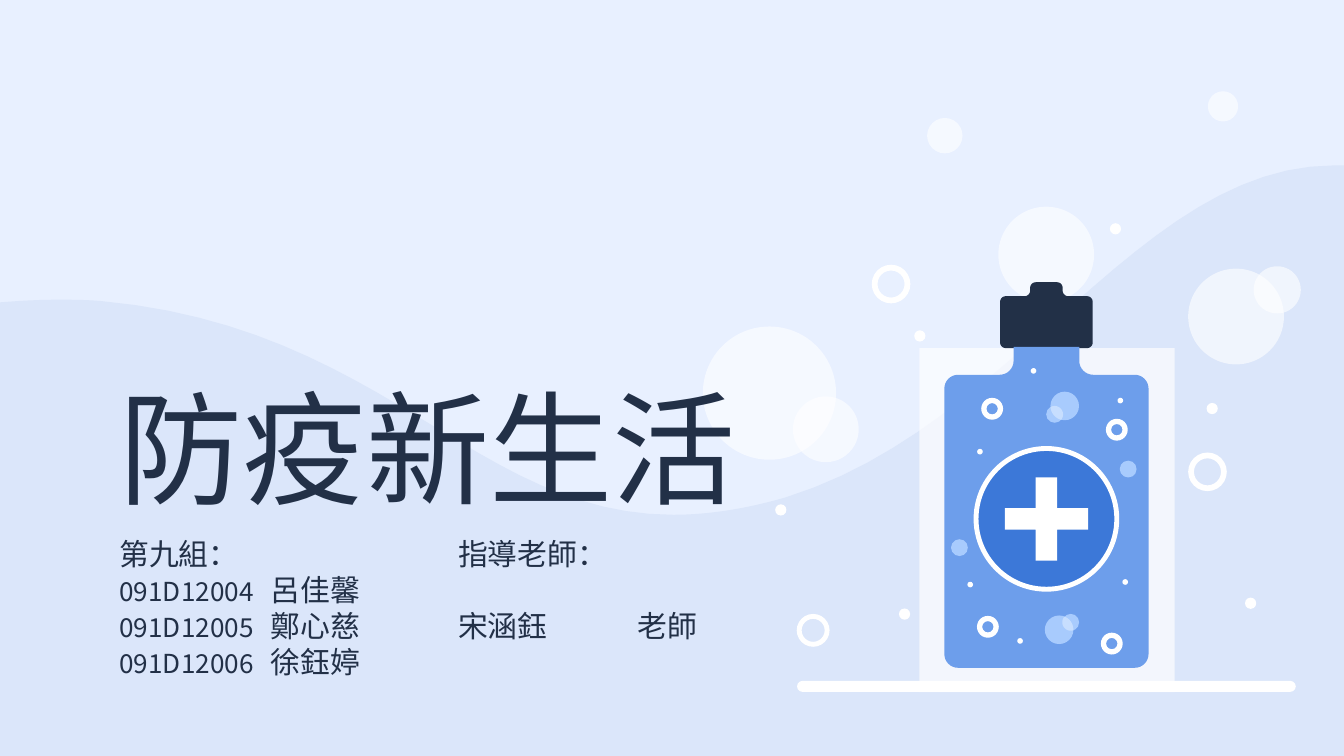
from dataclasses import dataclass
from math import atan2, cos, hypot, sin, tau
from typing import NamedTuple, Optional

from lxml import etree
from pptx import Presentation
from pptx.dml.color import RGBColor
from pptx.enum.shapes import MSO_SHAPE
from pptx.enum.text import MSO_ANCHOR, MSO_AUTO_SIZE, PP_ALIGN
from pptx.oxml.ns import qn
from pptx.util import Pt

OVAL, DONUT, CROSS = MSO_SHAPE.OVAL, MSO_SHAPE.DONUT, MSO_SHAPE.CROSS
RECTANGLE, PILL = MSO_SHAPE.RECTANGLE, MSO_SHAPE.ROUNDED_RECTANGLE
LEFT, TOP, BOTTOM = PP_ALIGN.LEFT, MSO_ANCHOR.TOP, MSO_ANCHOR.BOTTOM
NO_FIT = MSO_AUTO_SIZE.NONE


@dataclass(frozen=True)
class Theme:
    sky: str = "E8F0FF"
    wave: str = "DBE6FA"
    ink: str = "223047"
    white: str = "FFFFFF"
    bottle: str = "6D9EEB"
    label: str = "3C78D8"
    bubble: str = "A8CBFD"
    overlap: str = "C7DEFE"
    cjk: str = "Noto Sans CJK SC"
    digits: str = "Noto Sans CJK TC"
    latin: str = "Lato"
    title_size: float = 66
    body_size: float = 16
    digit_size: float = 14
    line_pitch: float = 19.3


class Circle(NamedTuple):
    x: float
    y: float
    size: float


class Corner(NamedTuple):
    x: float
    y: float
    radius: float


class Span(NamedTuple):
    text: str
    font: str
    size: float
    tracking: float = 0


THEME = Theme()
AXIS = 560.6  # vertical centre line of the bottle

HALOS = [Circle(560.5, 136.4, 51.3), Circle(412.2, 210.6, 71.4), Circle(506.2, 72.7, 19),
         Circle(655.2, 57, 16.2), Circle(442.4, 230, 35.3), Circle(662.2, 169.6, 51.3),
         Circle(684.2, 155.3, 25.3)]
AIR_RINGS = [Circle(477.4, 152.2, 20.7), Circle(646.9, 252.8, 20.7), Circle(435.6, 337.7, 17.6)]
AIR_DOTS = [(492.8, 180), (597.6, 122.6), (649.4, 218.9), (484.6, 329), (670, 323.2), (418.3, 273.2)]
GEL_RINGS = [(598.3, 230.2), (531.5, 219), (529.2, 335.8), (595.6, 344.8)]
GEL_DOTS = [(602.8, 311.8), (519.8, 313.2), (553.7, 198.7), (525, 242), (600.2, 214.6), (546.5, 343.4)]
GEL_BUBBLES = [(514, 293.4), (604.4, 251.3)]
BUBBLE_PAIRS = [(Circle(567.4, 337.4, 15.3), Circle(573.6, 333.4, 9)),
                (Circle(570.4, 217.5, 15.3), Circle(565, 222, 9))]

# Half outlines, with x measured from the bottle's axis
CAP = [Corner(8.7, 151.2, 3), Corner(8.7, 158.7, 3), Corner(24.8, 158.7, 3), Corner(24.8, 186.5, 3)]
BODY = [Corner(17.6, 185.8, 0), Corner(17.6, 200.8, 7.4), Corner(54.7, 200.8, 7.4),
        Corner(54.7, 357.8, 7.4)]

WAVE_START = (715, 88.6)
WAVE_CURVES = [((609.8, 88.6), (544.3, 228.2), (421.2, 266.4)),
               ((398.9, 272.9), (378.7, 275.8), (360.7, 275.8)),
               ((254.9, 275.8), (205.9, 175), (54, 161.3)),
               ((46.1, 160.6), (38.2, 160.6), (30.2, 160.6)),
               ((19.4, 160.6), (9.4, 161.3), (0, 162))]

MEMBERS = [("091D12004", "呂佳馨"), ("091D12005", "鄭心慈"), ("091D12006", "徐鈺婷")]


def apply(target, values: dict) -> None:
    for name, value in values.items():
        setattr(target, name, value)


def paint(shape, color: str, opacity: int = 100) -> None:
    shape.shadow.inherit = False
    shape.line.fill.background()
    shape.fill.solid()
    shape.fill.fore_color.rgb = RGBColor.from_string(color)
    if opacity < 100:
        tint = shape.fill._xPr.find(".//" + qn("a:srgbClr"))
        etree.SubElement(tint, qn("a:alpha"), val=str(opacity * 1000))


def add_preset(page, kind, left, top, width, height, color, opacity=100,
               adjust: Optional[float] = None):
    shape = page.shapes.add_shape(kind, Pt(left), Pt(top), Pt(width), Pt(height))
    if adjust is not None:
        shape.adjustments[0] = adjust
    paint(shape, color, opacity)
    return shape


def add_round(page, circle: Circle, color: str, opacity=100, band: Optional[float] = None):
    """Draw a disc, or a ring whose band is a share of its diameter."""
    x, y, size = circle
    kind = OVAL if band is None else DONUT
    return add_preset(page, kind, x - size / 2, y - size / 2, size, size, color, opacity, band)


def add_outline(page, points: list, color: str) -> None:
    scaled = [(Pt(x), Pt(y)) for x, y in points]
    builder = page.shapes.build_freeform(*scaled[0])
    builder.add_line_segments(scaled[1:], close=True)
    paint(builder.convert_to_shape(), color)


def curve(start, control_a, control_b, end, steps: int) -> list:
    """Sample a cubic Bezier curve, both ends included."""
    points = []
    for step in range(steps + 1):
        t = step / steps
        weights = ((1 - t) ** 3, 3 * t * (1 - t) ** 2, 3 * t * t * (1 - t), t ** 3)
        anchors = (start, control_a, control_b, end)
        points.append(tuple(sum(w * p[i] for w, p in zip(weights, anchors)) for i in (0, 1)))
    return points


def mirrored_outline(half: list[Corner]) -> list:
    """Reflect half an outline about the bottle's axis and round its corners."""
    corners = [Corner(AXIS + x, y, r) for x, y, r in half]
    corners += [Corner(AXIS - x, y, r) for x, y, r in reversed(half)]
    points = []
    for index, (x, y, radius) in enumerate(corners):
        def toward(other: Corner, distance: float) -> tuple:
            share = distance / hypot(other.x - x, other.y - y)
            return x + (other.x - x) * share, y + (other.y - y) * share

        before, after = corners[index - 1], corners[(index + 1) % len(corners)]
        if radius:
            points += curve(toward(before, radius), toward(before, radius * 0.45),
                            toward(after, radius * 0.45), toward(after, radius), 8)
        else:
            points.append((x, y))
    return points


def lens(first: Circle, second: Circle) -> list:
    """Outline of the area that two circles share."""
    points = []
    for own, other in ((first, second), (second, first)):
        for step in range(120):
            x = own.x + own.size / 2 * cos(tau * step / 120)
            y = own.y + own.size / 2 * sin(tau * step / 120)
            if hypot(x - other.x, y - other.y) <= other.size / 2:
                points.append((x, y))
    mid_x, mid_y = (sum(values) / len(points) for values in zip(*points))
    return sorted(points, key=lambda p: atan2(p[1] - mid_y, p[0] - mid_x))


def add_spans(para, spans: list[Span]) -> None:
    para.alignment = LEFT
    for item in spans:
        span = para.add_run()
        span.text = item.text
        apply(span.font, {"name": item.font, "size": Pt(item.size), "bold": False})
        span.font.color.rgb = RGBColor.from_string(THEME.ink)
        properties = span.font._element
        etree.SubElement(properties, qn("a:ea"), typeface=item.font)
        if item.tracking:
            properties.set("spc", str(round(item.tracking * 100)))


def add_text(page, left: float, lines: list[list[Span]]):
    box = page.shapes.add_textbox(Pt(left), Pt(278.6), Pt(150.5), Pt(85.7))
    apply(box.text_frame, {"word_wrap": True, "auto_size": NO_FIT, "vertical_anchor": TOP,
                           "margin_left": Pt(7.2), "margin_right": Pt(7.2),
                           "margin_top": Pt(8.2), "margin_bottom": Pt(7.2)})
    for index, spans in enumerate(lines):
        para = box.text_frame.add_paragraph() if index else box.text_frame.paragraphs[0]
        para.line_spacing = Pt(THEME.line_pitch)
        add_spans(para, spans)
    return box


def body_span(text: str) -> Span:
    return Span(text, THEME.cjk, THEME.body_size)


def draw_bottle(page) -> None:
    add_preset(page, RECTANGLE, 492.5, 186.5, 136.8, 184.3, THEME.white, 68)
    add_outline(page, mirrored_outline(CAP), THEME.ink)
    add_outline(page, mirrored_outline(BODY), THEME.bottle)
    label = add_round(page, Circle(AXIS, 278, 75.4), THEME.label)
    label.line.color.rgb = RGBColor.from_string(THEME.white)
    label.line.width = Pt(2.6)
    add_preset(page, CROSS, AXIS - 22.3, 255.7, 44.6, 44.6, THEME.white, adjust=0.37)
    for x, y in GEL_RINGS:
        add_round(page, Circle(x, y, 11.7), THEME.white, band=0.24)
    for x, y in GEL_BUBBLES:
        add_round(page, Circle(x, y, 9), THEME.bubble)
    for pair in BUBBLE_PAIRS:
        for circle in pair:
            add_round(page, circle, THEME.bubble)
        add_outline(page, lens(*pair), THEME.overlap)
    for x, y in GEL_DOTS:
        add_round(page, Circle(x, y, 3), THEME.white)


def draw_scene(page) -> None:
    wave = [WAVE_START]
    for control_a, control_b, end in WAVE_CURVES:
        wave += curve(wave[-1], control_a, control_b, end, 24)[1:]
    add_outline(page, wave + [(0, 405), (720, 405), (720, 88.6)], THEME.wave)
    for halo in HALOS:
        add_round(page, halo, THEME.white, 60)
    for ring in AIR_RINGS:
        add_round(page, ring, THEME.white, band=0.15)
    for x, y in AIR_DOTS:
        add_round(page, Circle(x, y, 6), THEME.white)
    draw_bottle(page)
    add_preset(page, PILL, 427, 364.8, 267.2, 5.9, THEME.white, adjust=0.5)


def write_text(page) -> None:
    title = page.shapes.title
    apply(title, {"left": Pt(56.9), "top": Pt(94.3), "width": Pt(348.5), "height": Pt(184.3)})
    apply(title.text_frame, {"word_wrap": True, "auto_size": NO_FIT, "vertical_anchor": BOTTOM,
                             "margin_left": Pt(7.2), "margin_right": Pt(7.2),
                             "margin_bottom": Pt(0)})
    add_spans(title.text_frame.paragraphs[0], [Span("防疫新生活", THEME.cjk, THEME.title_size)])
    page.shapes._spTree.append(title._element)  # bring in front of the halos

    members = [[Span(number, THEME.digits, THEME.digit_size),
                Span(" ", THEME.latin, THEME.body_size, 5), body_span(name)]
               for number, name in MEMBERS]
    add_text(page, 56.9, [[body_span("第九組：")]] + members)

    teacher = add_text(page, 238.3, [[body_span("指導老師：")], [body_span("宋涵鈺\t老師")]])
    para = teacher.text_frame.paragraphs[1]
    para.space_before = Pt(THEME.line_pitch)
    tabs = etree.SubElement(para._p.get_or_add_pPr(), qn("a:tabLst"))
    etree.SubElement(tabs, qn("a:tab"), pos=str(Pt(96)), algn="l")


def main() -> None:
    deck = Presentation()
    apply(deck, {"slide_width": Pt(720), "slide_height": Pt(405)})
    page = deck.slides.add_slide(deck.slide_layouts[5])
    page.background.fill.solid()
    page.background.fill.fore_color.rgb = RGBColor.from_string(THEME.sky)
    draw_scene(page)
    write_text(page)
    deck.save("out.pptx")


if __name__ == "__main__":
    main()
